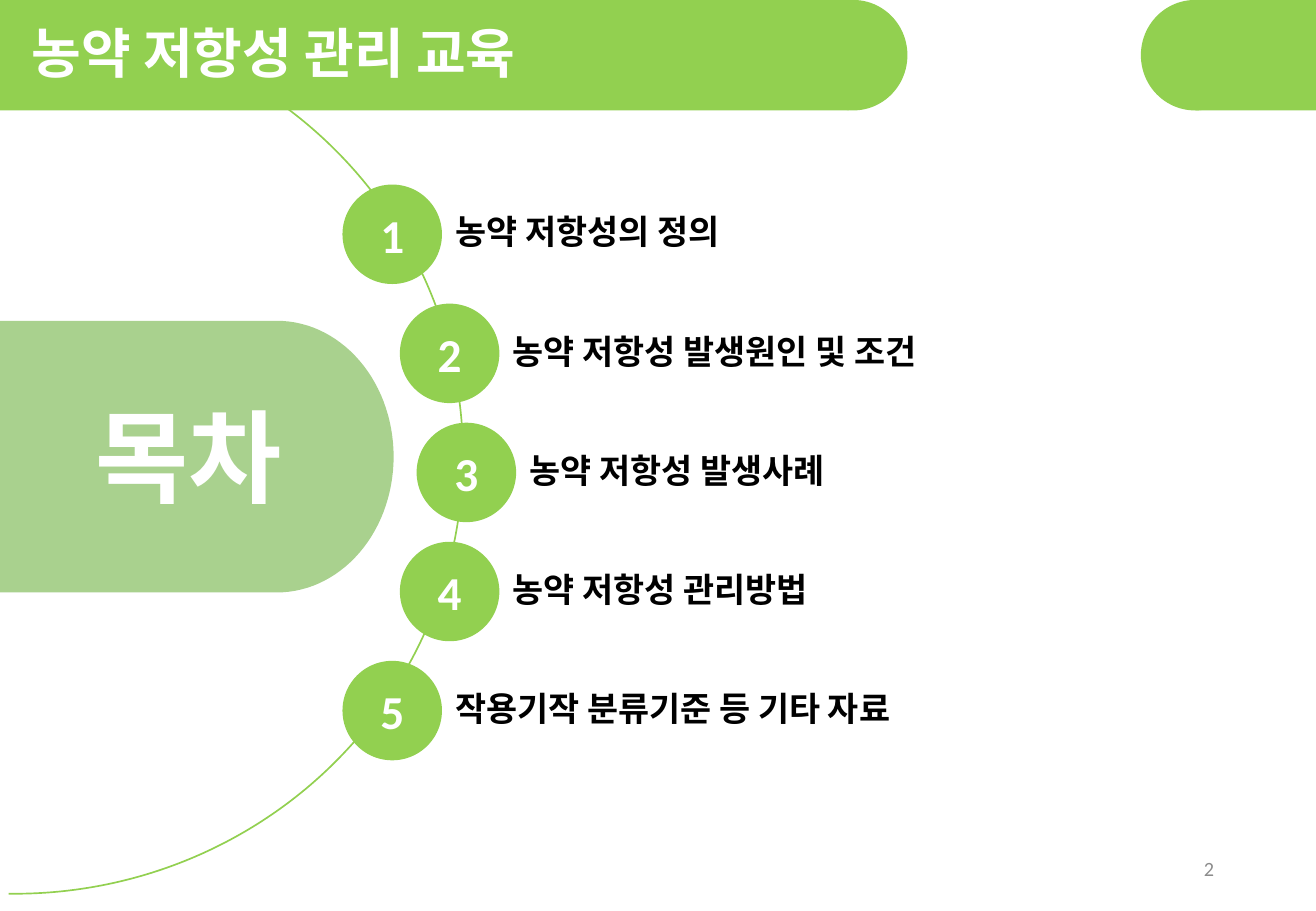
"""Build the contents slide of a pesticide resistance training deck."""
from math import cos, pi, sin

from lxml.etree import SubElement
from pptx import Presentation
from pptx.dml.color import RGBColor
from pptx.enum.shapes import MSO_SHAPE as Shape
from pptx.enum.text import MSO_ANCHOR as Anchor, PP_ALIGN as Align
from pptx.oxml.ns import qn
from pptx.util import Cm, Pt

GREEN, PALE_GREEN, WHITE = "92D050", "A9D18E", "FFFFFF"


def paint(shape, color):
    shape.shadow.inherit = False
    shape.fill.solid()
    shape.fill.fore_color.rgb = RGBColor.from_string(color)
    shape.line.fill.background()


def write(shape, text, size, color, bold=True, font="Calibri", align=Align.LEFT,
          margins=(0, 0, 0, 0), wrap=True, spacing=1.0):
    frame = shape.text_frame
    frame.word_wrap = wrap
    frame.vertical_anchor = Anchor.MIDDLE
    (frame.margin_left, frame.margin_top,
     frame.margin_right, frame.margin_bottom) = [Cm(margin) for margin in margins]
    para = frame.paragraphs[0]
    para.alignment = align
    para.line_spacing = spacing
    span = para.add_run()
    span.text = text
    span.font.name = font
    span.font.size = Pt(size)
    span.font.bold = bold
    span.font.color.rgb = RGBColor.from_string(color)
    return span


deck = Presentation()
deck.slide_width, deck.slide_height = Cm(27.51), Cm(19.05)
page = deck.slides.add_slide(deck.slide_layouts[5])
shapes = page.shapes

arc = shapes.add_shape(Shape.ARC, Cm(-9.07), Cm(0.38), Cm(18.75), Cm(18.31))
arc.adjustments[0], arc.adjustments[1] = 162, 54.458
arc.shadow.inherit = False
arc.fill.background()
arc.line.color.rgb = RGBColor.from_string(GREEN)
arc.line.width = Pt(1)

center_x, center_y, radius_x, radius_y = 5.79, 9.55, 2.44, 2.84
steps = 60
angles = [pi * step / steps - pi / 2 for step in range(steps + 1)]
curve = [(Cm(center_x + radius_x * cos(angle)), Cm(center_y + radius_y * sin(angle)))
         for angle in angles]
outline = shapes.build_freeform(Cm(0), Cm(center_y - radius_y))
outline.add_line_segments(curve + [(Cm(0), Cm(center_y + radius_y))], close=True)
paint(outline.convert_to_shape(), PALE_GREEN)
contents = shapes.add_textbox(Cm(0), Cm(8.1), Cm(7.87), Cm(2.82))
write(contents, "목차", 60, WHITE, align=Align.CENTER)

topics = [
    (7.16, "농약 저항성의 정의"),
    (8.36, "농약 저항성 발생원인 및 조건"),
    (8.71, "농약 저항성 발생사례"),
    (8.36, "농약 저항성 관리방법"),
    (7.16, "작용기작 분류기준 등 기타 자료"),
]
diameter, row_step = 2.08, 2.49
for row, (left, topic) in enumerate(topics):
    top = 3.86 + row * row_step
    label_left = left + diameter / 2
    label = shapes.add_textbox(Cm(label_left), Cm(top + 0.21), Cm(27 - label_left), Cm(1.65))
    write(label, topic, 20, "000000", margins=(1.32, 0.15, 0.15, 0.15), spacing=0.9)
    circle = shapes.add_shape(Shape.OVAL, Cm(left), Cm(top), Cm(diameter), Cm(diameter))
    paint(circle, GREEN)
    write(circle, str(row + 1), 28, WHITE, align=Align.CENTER)

header_height = 2.31
header_parts = [
    (Shape.OVAL, 16.71, 2.26),
    (Shape.RECTANGLE, 0, 17.75),
    (Shape.OVAL, 23.85, 2.26),
    (Shape.RECTANGLE, 24.99, 2.52),
]
for kind, left, width in header_parts:
    paint(shapes.add_shape(kind, Cm(left), Cm(0), Cm(width), Cm(header_height)), GREEN)

title = shapes.title
title.left, title.top, title.width, title.height = Cm(0.66), Cm(0.36), Cm(19.41), Cm(1.47)
span = write(title, "농약 저항성 관리 교육", 32, WHITE, font="Noto Sans CJK KR", wrap=False)
effects = span.font.fill._xPr.find(qn("a:solidFill"))
effect_list = SubElement(effects.getparent(), qn("a:effectLst"))
effects.addnext(effect_list)
shadow = SubElement(effect_list, qn("a:outerShdw"), blurRad="38100", dist="38100", dir="2700000")
shadow_color = SubElement(shadow, qn("a:srgbClr"), val="000000")
SubElement(shadow_color, qn("a:alpha"), val="60000")
title.element.getparent().append(title.element)

number = shapes.add_textbox(Cm(19.43), Cm(17.65), Cm(6.2), Cm(1.02))
write(number, "2", 12, "8C8C8C", bold=False, align=Align.RIGHT, margins=(0.25, 0.13, 0.25, 0.13))

deck.save("out.pptx")
